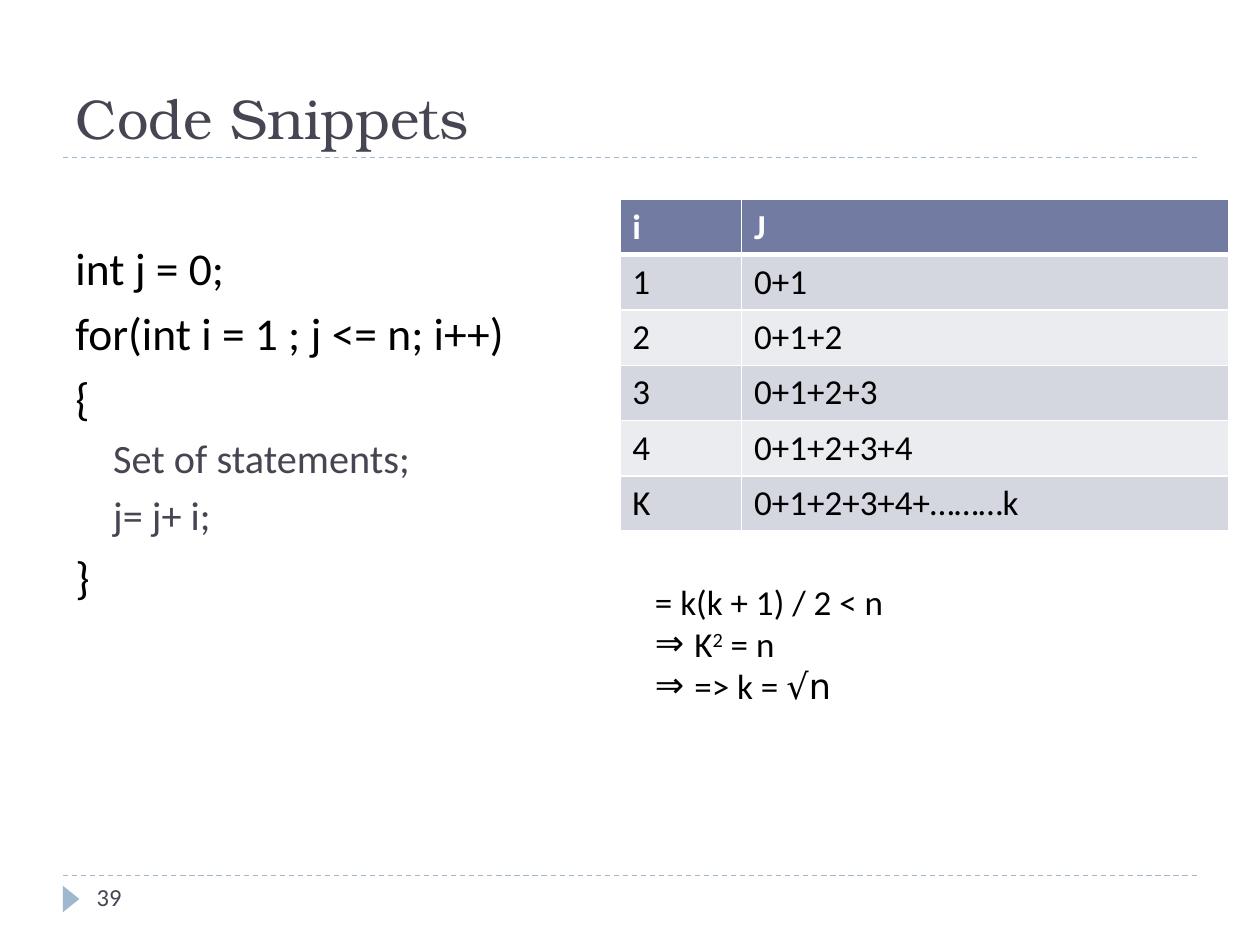
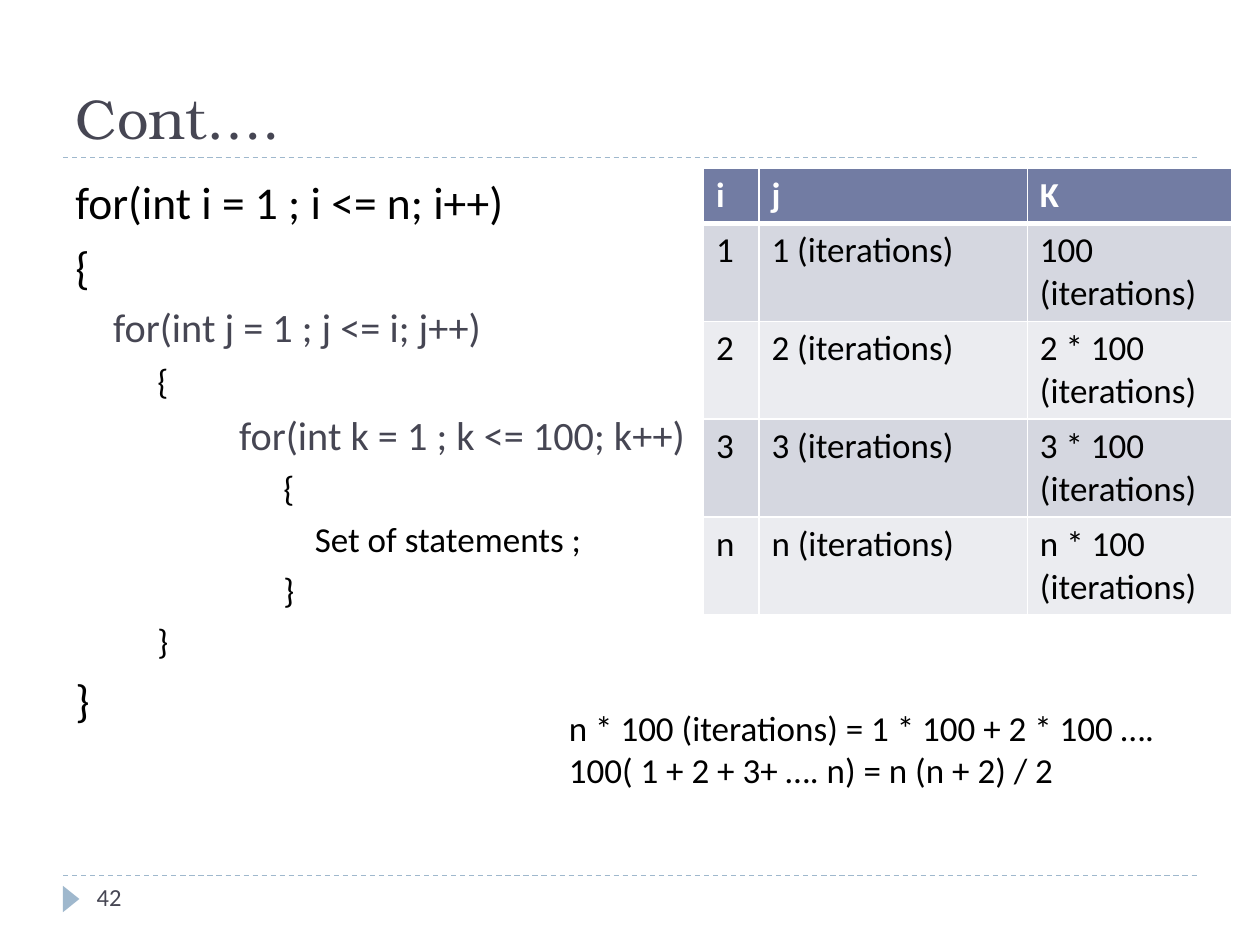
from lxml.etree import SubElement
from pptx import Presentation
from pptx.dml.color import RGBColor
from pptx.enum.dml import MSO_LINE
from pptx.enum.shapes import MSO_CONNECTOR, MSO_SHAPE
from pptx.enum.text import MSO_ANCHOR, MSO_AUTO_SIZE, PP_ALIGN
from pptx.oxml.ns import qn
from pptx.util import Pt

INK = RGBColor(0x46, 0x46, 0x53)
BLACK = RGBColor(0x00, 0x00, 0x00)
WHITE = RGBColor(0xFF, 0xFF, 0xFF)
RULE = RGBColor(0x9F, 0xB8, 0xCD)
HEADER = RGBColor(0x72, 0x7C, 0xA3)
BANDS = (RGBColor(0xD5, 0xD7, 0xE0), RGBColor(0xEB, 0xEC, 0xF0))

TITLE_FONT, BODY_FONT, SYMBOL_FONT = "TeX Gyre Bonum", "Calibri", "DejaVu Sans"
TITLE = {"name": TITLE_FONT, "size": Pt(32), "color": INK}
NUMBER = {"name": BODY_FONT, "size": Pt(14), "color": INK}
PLAIN = {"name": BODY_FONT, "size": Pt(20), "color": BLACK, "bold": False}
HEADING = {**PLAIN, "color": WHITE, "bold": True}
SYMBOL = {**PLAIN, "name": SYMBOL_FONT}
RAISED = {**PLAIN, "baseline": 30000}

# Code levels: text format and space before
CODE_LEVELS = (
    ({**PLAIN, "size": Pt(26)}, Pt(6)),
    ({**PLAIN, "size": Pt(23), "color": INK}, Pt(5)),
    (PLAIN, Pt(5)),
)
LEFT, RIGHT, WIDTH = Pt(36), Pt(684), Pt(648)
BODY_TOP = Pt(95.8)
ROW_HEIGHT = Pt(31.6)


class Deck:
    def __init__(self):
        self.prs = Presentation()
        self.prs.slide_width, self.prs.slide_height = Pt(720), Pt(540)
        self.slide = None

    def format_font(self, font, values):
        for key, value in values.items():
            if key == "color":
                font.color.rgb = value
            elif key == "baseline":
                font._element.set("baseline", str(value))
            else:
                setattr(font, key, value)

    def add_text(self, paragraph, text, values):
        run = paragraph.add_run()
        run.text = text
        self.format_font(run.font, values)

    def new_slide(self, title, number):
        """Start a slide with its title, rules, marker and page number."""
        self.slide = self.prs.slides.add_slide(self.prs.slide_layouts[5])
        for y in (Pt(500.4), Pt(90)):
            self.rule(y)
        self.marker()
        heading = self.slide.shapes.title
        box = {"left": LEFT, "top": Pt(12.2), "width": WIDTH, "height": Pt(77.8)}
        for key, value in box.items():
            setattr(heading, key, value)
        frame = heading.text_frame
        frame.auto_size = MSO_AUTO_SIZE.NONE
        frame.vertical_anchor = MSO_ANCHOR.BOTTOM
        frame.paragraphs[0].alignment = PP_ALIGN.LEFT
        self.add_text(frame.paragraphs[0], title, TITLE)
        page = self.text_frame(Pt(48.2), Pt(500.4), Pt(156), Pt(28.8))
        self.add_text(page.paragraphs[0], number, NUMBER)

    def rule(self, y):
        line = self.slide.shapes.add_connector(
            MSO_CONNECTOR.STRAIGHT, LEFT, y, RIGHT, y)
        line.line.color.rgb = RULE
        line.line.width = Pt(0.75)
        line.line.dash_style = MSO_LINE.DASH
        SubElement(line._element.spPr, qn("a:effectLst"))

    def marker(self):
        triangle = self.slide.shapes.add_shape(
            MSO_SHAPE.ISOSCELES_TRIANGLE, Pt(33.1), Pt(509), Pt(15.1), Pt(9.4))
        triangle.rotation = 90
        triangle.shadow.inherit = False
        triangle.fill.solid()
        triangle.fill.fore_color.rgb = RULE
        triangle.line.fill.background()

    def text_frame(self, left, top, width, height):
        frame = self.slide.shapes.add_textbox(left, top, width, height).text_frame
        frame.word_wrap = True
        return frame

    def paragraphs(self, frame, count):
        return [frame.paragraphs[0]] + [frame.add_paragraph() for _ in range(count - 1)]

    def code(self, top, lines):
        """Set code lines given as (level, indent in points, text)."""
        frame = self.text_frame(LEFT, top, WIDTH, Pt(484.6) - top)
        slots = self.paragraphs(frame, len(lines))
        for order, (paragraph, (level, indent, text)) in enumerate(zip(slots, lines)):
            values, space = CODE_LEVELS[level]
            paragraph.space_before = space if order else Pt(0)
            paragraph._p.get_or_add_pPr().set("marL", str(Pt(indent)))
            self.add_text(paragraph, text, values)

    def derivation(self, left, top, width, height, steps):
        """Set steps given as (has an arrow bullet, runs of text and format)."""
        frame = self.text_frame(left, top, width, height)
        for paragraph, (arrow, runs) in zip(self.paragraphs(frame, len(steps)), steps):
            if arrow:
                self.arrow_bullet(paragraph)
            for text, values in runs:
                self.add_text(paragraph, text, values)

    def arrow_bullet(self, paragraph):
        props = paragraph._p.get_or_add_pPr()
        props.set("marL", str(Pt(22.5)))
        props.set("indent", str(-Pt(22.5)))
        SubElement(props, qn("a:buFont"), typeface=SYMBOL_FONT)
        SubElement(props, qn("a:buChar"), char="⇒")

    def table(self, left, top, widths, row_height, rows):
        table = self.slide.shapes.add_table(
            len(rows), len(widths), left, top, sum(widths),
            ROW_HEIGHT + row_height * (len(rows) - 1)).table
        for column, width in zip(table.columns, widths):
            column.width = width
        for r, texts in enumerate(rows):
            table.rows[r].height = row_height if r else ROW_HEIGHT
            for c, text in enumerate(texts):
                cell = table.cell(r, c)
                self.add_text(cell.text_frame.paragraphs[0], text,
                              PLAIN if r else HEADING)
                self.borders(cell, top=3 if r == 1 else 1, bottom=1 if r else 3)
                cell.fill.solid()
                cell.fill.fore_color.rgb = BANDS[(r - 1) % 2] if r else HEADER

    def borders(self, cell, top, bottom):
        props = cell._tc.get_or_add_tcPr()
        for side, width in {"L": 1, "R": 1, "T": top, "B": bottom}.items():
            line = SubElement(props, qn(f"a:ln{side}"), w=str(Pt(width)))
            fill = SubElement(line, qn("a:solidFill"))
            SubElement(fill, qn("a:srgbClr"), val=str(WHITE))


def sum_loop(deck):
    deck.new_slide("Code Snippets", "39")
    deck.code(BODY_TOP + Pt(37.7), [
        (0, 0, "int j = 0;"),
        (0, 0, "for(int i = 1 ; j <= n; i++)"),
        (0, 0, "{"),
        (1, 21.6, "Set of statements;"),
        (1, 21.6, "j= j+ i;"),
        (0, 0, "}"),
    ])
    deck.table(Pt(354.2), Pt(114), (Pt(69.6), Pt(278.4)), ROW_HEIGHT, [
        ("i", "J"),
        ("1", "0+1"),
        ("2", "0+1+2"),
        ("3", "0+1+2+3"),
        ("4", "0+1+2+3+4"),
        ("K", "0+1+2+3+4+………k"),
    ])
    deck.derivation(Pt(367.2), Pt(328.3), Pt(180), Pt(80), [
        (False, [("= k(k + 1) / 2 < n", PLAIN)]),
        (True, [("K", PLAIN), ("2", RAISED), (" = n", PLAIN)]),
        (True, [("=> k = ", PLAIN), ("√n", SYMBOL)]),
    ])


def nested_loops(deck):
    deck.new_slide("Cont….", "42")
    deck.code(BODY_TOP, [
        (0, 0, "for(int i = 1 ; i <= n; i++)"),
        (0, 0, "{"),
        (1, 21.6, "for(int j = 1 ; j <= i; j++)"),
        (2, 46.8, "{"),
        (1, 93.6, "for(int k = 1 ; k <= 100; k++)"),
        (2, 118.8, "{"),
        (2, 136.8, "Set of statements ;"),
        (2, 118.8, "}"),
        (2, 46.8, "}"),
        (0, 0, "}"),
    ])
    rows = [(i, f"{i} (iterations)", f"{total} (iterations)") for i, total in
            (("1", "100"), ("2", "2 * 100"), ("3", "3 * 100"), ("n", "n * 100"))]
    deck.table(Pt(402), Pt(96), (Pt(31.7), Pt(153.4), Pt(116.6)), Pt(56),
               [("i", "j", "K"), *rows])
    deck.derivation(Pt(318), Pt(400.3), Pt(384), Pt(55.4), [
        (False, [("n * 100 (iterations) = 1 * 100 + 2 * 100 ….", PLAIN)]),
        (False, [("100( 1 + 2 + 3+ …. n) = n (n + 2) / 2", PLAIN)]),
    ])


def main():
    deck = Deck()
    sum_loop(deck)
    nested_loops(deck)
    deck.prs.save("out.pptx")


if __name__ == "__main__":
    main()
